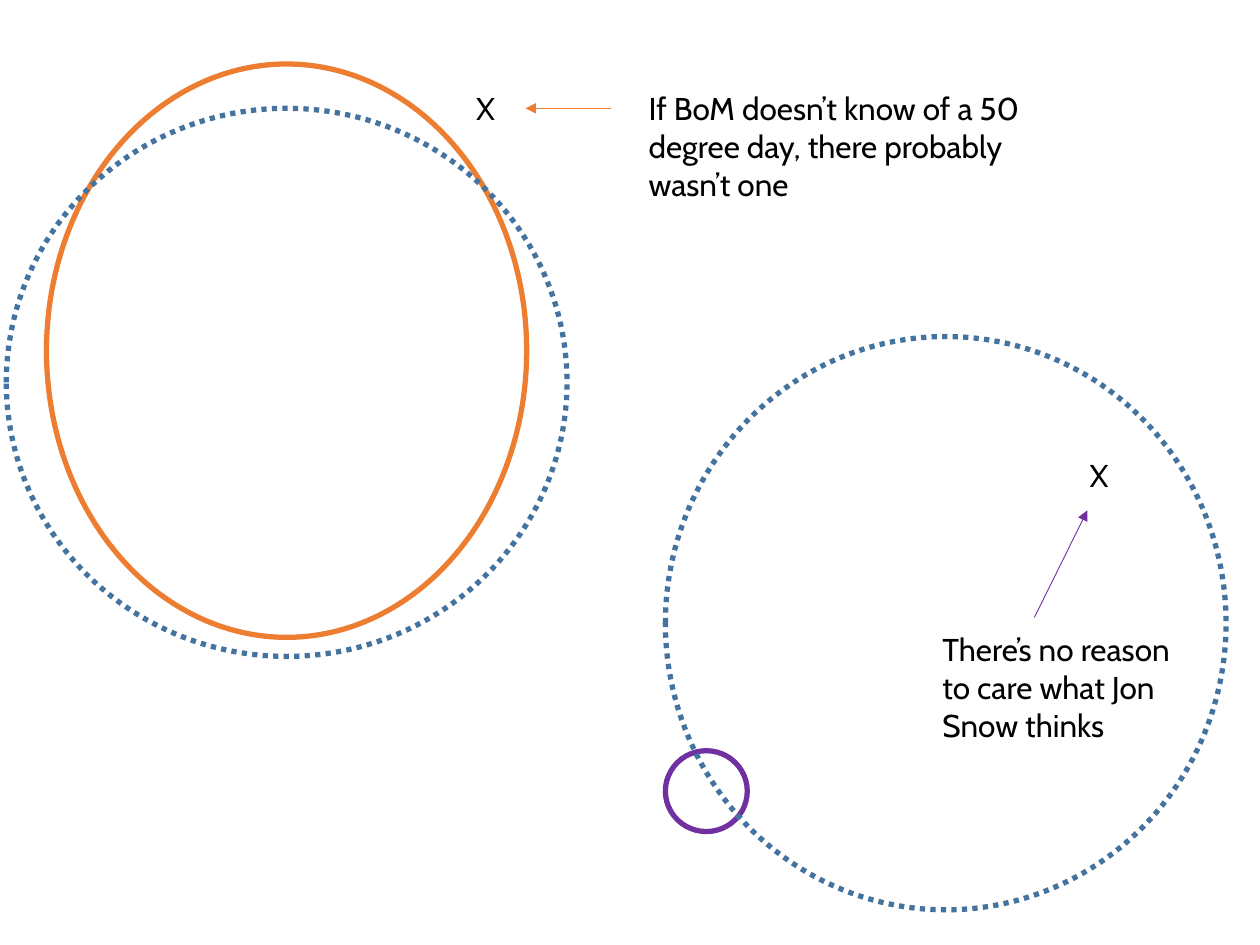
from lxml.etree import SubElement
from pptx import Presentation
from pptx.dml.color import RGBColor
from pptx.enum.dml import MSO_LINE as Dash
from pptx.enum.shapes import MSO_CONNECTOR as Link, MSO_SHAPE as Shape
from pptx.enum.text import MSO_AUTO_SIZE as Fit
from pptx.oxml.ns import qn
from pptx.util import Pt

ORANGE, BLUE, PURPLE, BLACK = "ED7D31", "43739E", "7030A0", "000000"


def color(code):
    return RGBColor.from_string(code)


class Board:
    font = "Cabin"
    size = 18
    thick = 3
    thin = 0.5

    def __init__(self, slide):
        self.slide = slide

    def ring(self, box, hue, dash=None):
        ring = self.slide.shapes.add_shape(Shape.OVAL, *map(Pt, box))
        ring.shadow.inherit = False
        ring.fill.background()
        ring.line.color.rgb = color(hue)
        ring.line.width = Pt(self.thick)
        if dash:
            ring.line.dash_style = dash

    def arrow(self, start, end, hue):
        arrow = self.slide.shapes.add_connector(
            Link.STRAIGHT, *map(Pt, start + end))
        arrow.line.color.rgb = color(hue)
        arrow.line.width = Pt(self.thin)
        SubElement(arrow.line._get_or_add_ln(), qn("a:tailEnd"), type="triangle")
        SubElement(arrow._element.spPr, qn("a:effectLst"))

    def text(self, box, words, wrap=True):
        frame = self.slide.shapes.add_textbox(*map(Pt, box)).text_frame
        frame.word_wrap = wrap
        frame.auto_size = Fit.SHAPE_TO_FIT_TEXT
        run = frame.paragraphs[0].add_run()
        run.text = words
        run.font.name = self.font
        run.font.size = Pt(self.size)
        run.font.color.rgb = color(BLACK)


def main():
    deck = Presentation()
    deck.slide_width, deck.slide_height = Pt(720), Pt(540)
    board = Board(deck.slides.add_slide(deck.slide_layouts[6]))

    board.ring((26.6, 36.6, 274.4, 327.6), ORANGE)
    board.arrow((349.2, 61.9), (300.3, 61.9), ORANGE)
    board.text((363.6, 47.5, 227.5, 72.7),
               "If BoM doesn’t know of a 50 degree day, there probably wasn’t one")

    board.ring((380.2, 429, 46.8, 46.2), PURPLE)
    board.text((531.4, 356.4, 151.2, 72.7),
               "There’s no reason to care what Jon Snow thinks")
    board.arrow((591.1, 352.8), (621.4, 291.6), PURPLE)

    for left, top in ((265, 47.5), (615.6, 257)):
        board.text((left, top, 27.4, 29), "X", wrap=False)
    for box in ((3.6, 61.9, 320.4, 313.2), (380.2, 192.3, 320.4, 327.6)):
        board.ring(box, BLUE, Dash.ROUND_DOT)

    deck.save("out.pptx")


if __name__ == "__main__":
    main()
